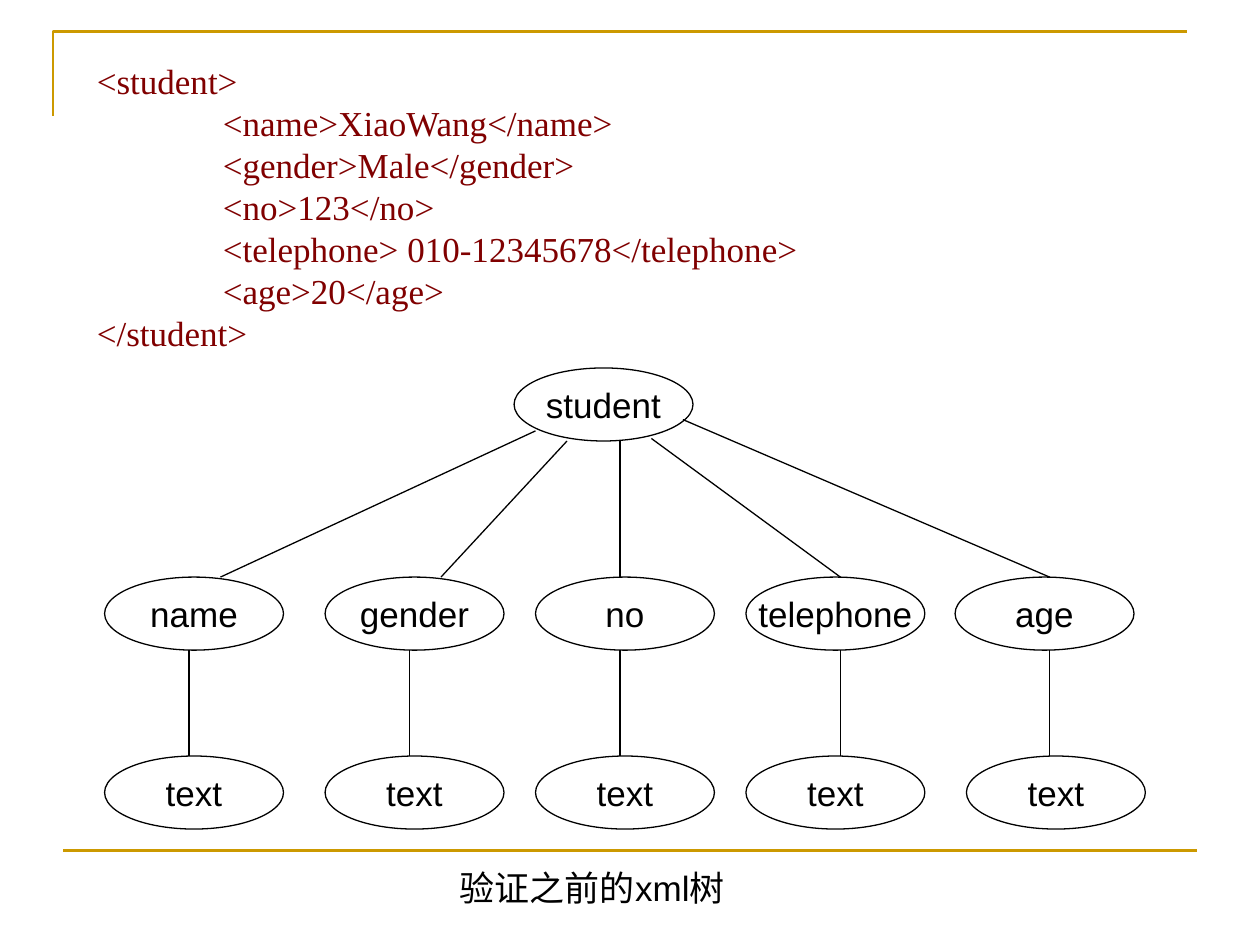
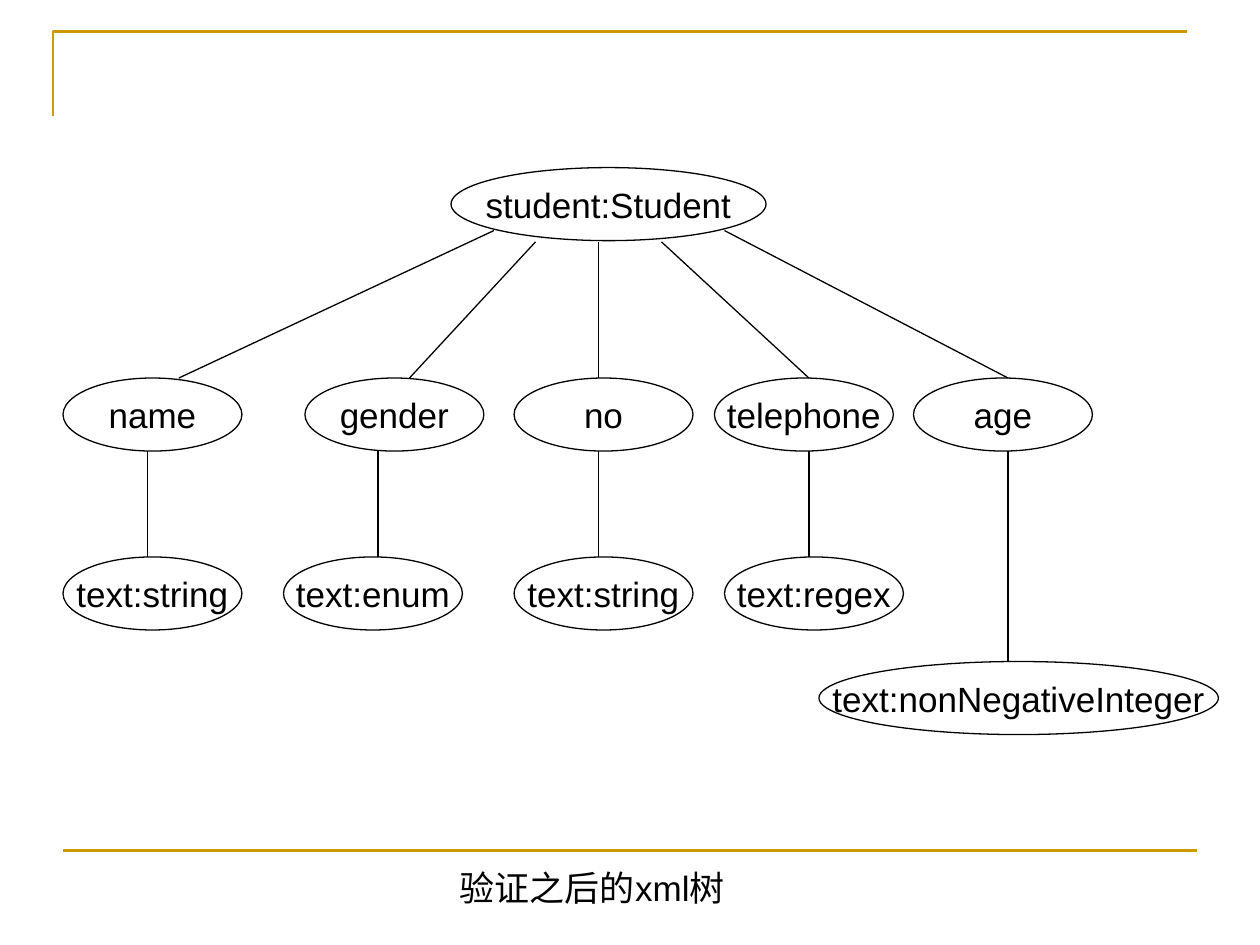
from pptx import Presentation
from pptx.dml.color import RGBColor
from pptx.enum.shapes import MSO_CONNECTOR as Link, MSO_SHAPE as Shape
from pptx.enum.text import MSO_ANCHOR as Anchor, PP_ALIGN as Align
from pptx.oxml.ns import qn
from pptx.util import Inches, Pt
from lxml.etree import SubElement

COLORS = {"gold": "CC9900", "code": "800000", "ink": "000000"}
NODE_WIDTH, NODE_HEIGHT = 1.42, 0.58

xml_lines = [
    "<student>",
    "\t<name>XiaoWang</name>",
    "\t<gender>Male</gender>",
    "\t<no>123</no>",
    "\t<telephone> 010-12345678</telephone>",
    "\t<age>20</age>",
    "</student>",
]

trees = [
    {
        "caption": "验证之前的xml树",
        "code": xml_lines,
        "root": ("student", 4.08, 2.92, NODE_WIDTH),
        "child_top": 4.58,
        "children": [("name", 0.83), ("gender", 2.58), ("no", 4.25), ("telephone", 5.92), ("age", 7.58)],
        "leaves": [
            ("text", 0.83, 6, NODE_WIDTH),
            ("text", 2.58, 6, NODE_WIDTH),
            ("text", 4.25, 6, NODE_WIDTH),
            ("text", 5.92, 6, NODE_WIDTH),
            ("text", 7.67, 6, NODE_WIDTH),
        ],
        "branch_starts": [(4.25, 3.42), (4.5, 3.5), (4.92, 3.5), (5.17, 3.48), (5.42, 3.33)],
        "branch_ends": [1.75, 3.5, 4.92, 6.67, 8.33],
        "stems": [1.5, 3.25, 4.92, 6.67, 8.33],
    },
    {
        "caption": "验证之后的xml树",
        "code": [],
        "root": ("student:Student", 3.58, 1.33, 2.5),
        "child_top": 3,
        "children": [("name", 0.5), ("gender", 2.42), ("no", 4.08), ("telephone", 5.67), ("age", 7.25)],
        "leaves": [
            ("text:string", 0.5, 4.42, NODE_WIDTH),
            ("text:enum", 2.25, 4.42, NODE_WIDTH),
            ("text:string", 4.08, 4.42, NODE_WIDTH),
            ("text:regex", 5.75, 4.42, NODE_WIDTH),
            ("text:nonNegativeInteger", 6.5, 5.25, 3.17),
        ],
        "branch_starts": [(3.92, 1.83), (4.25, 1.92), (4.75, 1.92), (5.25, 1.92), (5.75, 1.83)],
        "branch_ends": [1.42, 3.25, 4.75, 6.42, 8],
        "stems": [1.17, 3, 4.75, 6.42, 8],
    },
]


def add_line(page, start, end, color="ink", width=0.75):
    line = page.shapes.add_connector(Link.STRAIGHT, *[Inches(value) for value in (*start, *end)])
    line.line.color.rgb = RGBColor.from_string(COLORS[color])
    line.line.width = Pt(width)
    SubElement(line._element.spPr, qn("a:effectLst"))


def write(para, text, color="ink", font="Arial"):
    span = para.add_run()
    span.text = text
    for key, value in {"name": font, "size": Pt(20)}.items():
        setattr(span.font, key, value)
    span.font.color.rgb = RGBColor.from_string(COLORS[color])


deck = Presentation()
deck.slide_width, deck.slide_height = Inches(10), Inches(7.5)

for tree in trees:
    page = deck.slides.add_slide(deck.slide_layouts[6])

    outline = page.shapes.build_freeform(Inches(0.42), Inches(0.92))
    outline.add_line_segments([(Inches(0.42), Inches(0.25)), (Inches(9.42), Inches(0.25))], close=False)
    corner = outline.convert_to_shape()
    corner.shadow.inherit = False
    corner.fill.background()
    corner.line.color.rgb = RGBColor.from_string(COLORS["gold"])
    corner.line.width = Pt(1.5)
    add_line(page, (0.5, 6.75), (9.5, 6.75), "gold", 1.5)

    if tree["code"]:
        box = page.shapes.add_textbox(Inches(0.67), Inches(0.42), Inches(7.75), Inches(2.44))
        box.text_frame.word_wrap = True
        for index, text in enumerate(tree["code"]):
            para = box.text_frame.add_paragraph() if index else box.text_frame.paragraphs[0]
            tabs = SubElement(para._p.get_or_add_pPr(), qn("a:tabLst"))
            SubElement(tabs, qn("a:tab"), pos=str(Inches(1)), algn="l")
            write(para, text, "code", "Times New Roman")

    children = [(name, left, tree["child_top"], NODE_WIDTH) for name, left in tree["children"]]
    for name, left, top, width in [tree["root"], *children, *tree["leaves"]]:
        node = page.shapes.add_shape(
            Shape.OVAL, Inches(left), Inches(top), Inches(width), Inches(NODE_HEIGHT)
        )
        node.shadow.inherit = False
        node.fill.background()
        node.line.color.rgb = RGBColor.from_string(COLORS["ink"])
        node.line.width = Pt(0.75)
        for key, value in {"word_wrap": False, "vertical_anchor": Anchor.MIDDLE}.items():
            setattr(node.text_frame, key, value)
        para = node.text_frame.paragraphs[0]
        para.alignment = Align.CENTER
        write(para, name)

    for start, end in zip(tree["branch_starts"], tree["branch_ends"]):
        add_line(page, start, (end, tree["child_top"]))
    for stem, leaf in zip(tree["stems"], tree["leaves"]):
        add_line(page, (stem, tree["child_top"] + NODE_HEIGHT), (stem, leaf[2]))

    box = page.shapes.add_textbox(Inches(2.25), Inches(6.83), Inches(6.08), Inches(0.44))
    box.text_frame.word_wrap = True
    para = box.text_frame.paragraphs[0]
    para._p.get_or_add_pPr().set("marL", str(Inches(1.3)))
    write(para, tree["caption"])

deck.save("out.pptx")
